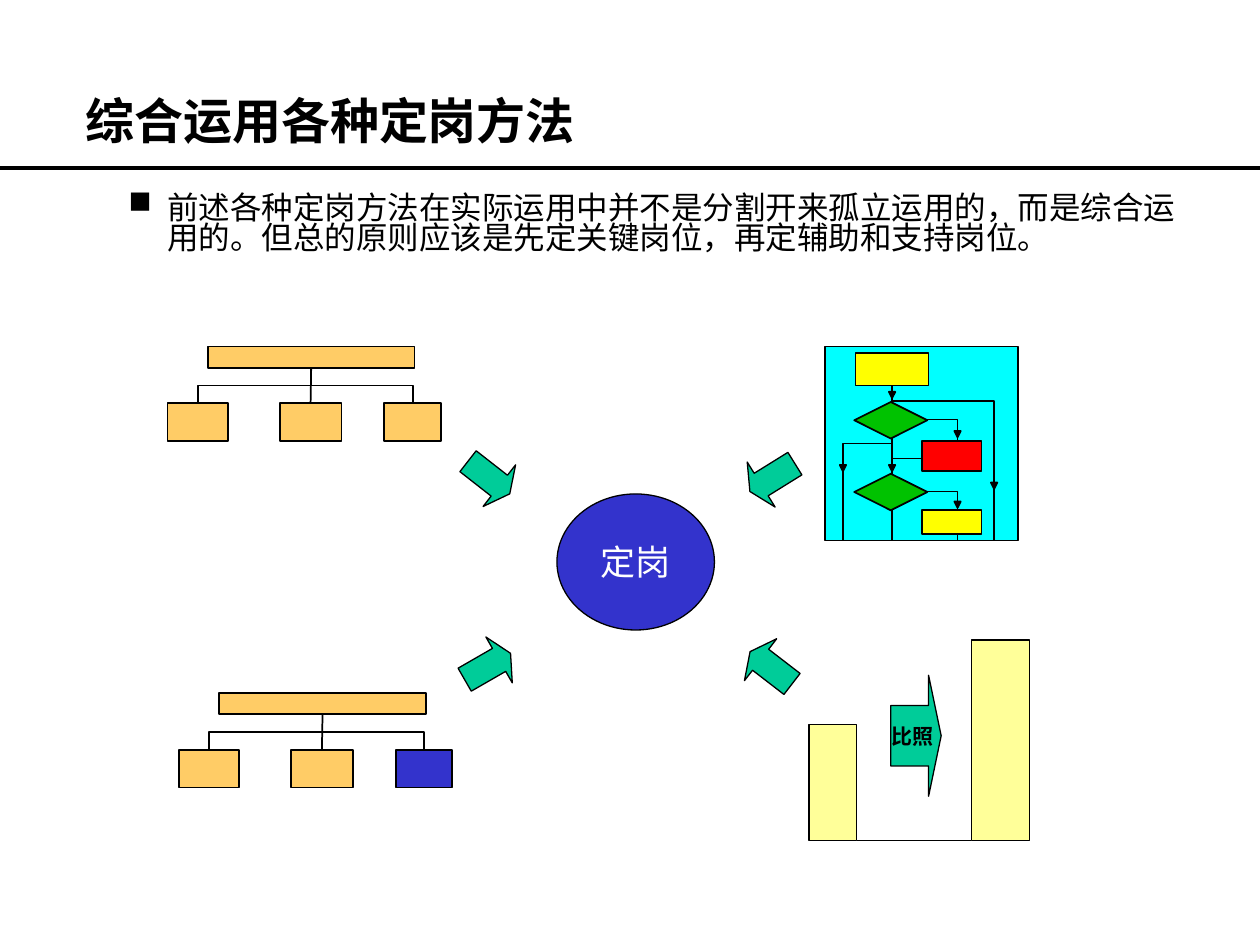
from lxml.etree import SubElement
from pptx import Presentation
from pptx.dml.color import RGBColor
from pptx.enum.shapes import MSO_CONNECTOR, MSO_SHAPE
from pptx.enum.text import MSO_ANCHOR, PP_ALIGN
from pptx.oxml.ns import qn
from pptx.util import Inches, Pt

BLACK = RGBColor(0x00, 0x00, 0x00)
WHITE = RGBColor(0xFF, 0xFF, 0xFF)
ORANGE = RGBColor(0xFF, 0xCC, 0x66)
BLUE = RGBColor(0x33, 0x33, 0xCC)
TEAL = RGBColor(0x00, 0xCC, 0x99)
CYAN = RGBColor(0x00, 0xFF, 0xFF)
GREEN = RGBColor(0x00, 0xC2, 0x00)
YELLOW = RGBColor(0xFF, 0xFF, 0x00)
RED = RGBColor(0xFF, 0x00, 0x00)
PALE_YELLOW = RGBColor(0xFF, 0xFF, 0x99)
CJK_FONT = "Noto Sans CJK SC"


def write(shape, text, size, font="Times New Roman", color=BLACK, bold=False,
          align=PP_ALIGN.LEFT, anchor=MSO_ANCHOR.TOP, wrap=True, line_spacing=None,
          bullet=None, margin=0, indent=0):
    """Put one formatted paragraph into a shape."""
    frame = shape.text_frame
    frame.word_wrap = wrap
    frame.vertical_anchor = anchor
    paragraph = frame.paragraphs[0]
    paragraph.alignment = align
    if line_spacing:
        paragraph.line_spacing = line_spacing
    if bullet:
        properties = paragraph._p.get_or_add_pPr()
        properties.set("marL", str(Inches(margin)))
        properties.set("indent", str(Inches(indent)))
        SubElement(properties, qn("a:buChar")).set("char", bullet)
    run = paragraph.add_run()
    run.text = text
    run.font.size = Pt(size)
    run.font.name = font
    run.font.bold = bold
    run.font.color.rgb = color
    SubElement(run._r.get_or_add_rPr(), qn("a:ea")).set("typeface", CJK_FONT)


def style(shape, fill=None, width=1):
    """Give a shape or line a black outline, an optional fill and no shadow."""
    shape.line.color.rgb = BLACK
    shape.line.width = Pt(width)
    if fill is not None:
        shape.fill.solid()
        shape.fill.fore_color.rgb = fill
    SubElement(shape._element.spPr, qn("a:effectLst"))
    return shape


presentation = Presentation()
presentation.slide_width = Inches(10)
presentation.slide_height = Inches(7.5)
slide = presentation.slides.add_slide(presentation.slide_layouts[6])
shapes = slide.shapes

# Title, rule and body text
title = shapes.add_textbox(Inches(0.58), Inches(0.67), Inches(7.58), Inches(0.58))
write(title, "综合运用各种定岗方法", size=28, bold=True)
style(shapes.add_connector(MSO_CONNECTOR.STRAIGHT, 0, Inches(1.33), Inches(10), Inches(1.33)),
      width=2.25)
body = shapes.add_textbox(Inches(0.42), Inches(1.5), Inches(9.08), Inches(0.83))
write(body, "前述各种定岗方法在实际运用中并不是分割开来孤立运用的，而是综合运用的。"
      "但总的原则应该是先定关键岗位，再定辅助和支持岗位。",
      size=18, line_spacing=0.8, bullet="■", margin=0.81, indent=-0.31)

# Two organisation trees; the second highlights its last position
for left, top, last_fill in [(1.33, 2.75, ORANGE), (1.42, 5.5, BLUE)]:
    parent = style(shapes.add_shape(MSO_SHAPE.RECTANGLE, Inches(left + 0.32), Inches(top),
                                    Inches(1.64), Inches(0.17)), ORANGE)
    for offset, width, fill in [(0, 0.48, ORANGE), (0.89, 0.49, ORANGE), (1.72, 0.45, last_fill)]:
        child = style(shapes.add_shape(MSO_SHAPE.RECTANGLE, Inches(left + offset),
                                       Inches(top + 0.45), Inches(width), Inches(0.3)), fill)
        start_x = parent.left + parent.width // 2
        start_y = parent.top + parent.height
        run_x = child.left + child.width // 2 - start_x
        drop = child.top - start_y
        straight = abs(run_x) < Inches(0.02)
        kind = MSO_CONNECTOR.STRAIGHT if straight else MSO_CONNECTOR.ELBOW
        branch = style(shapes.add_connector(kind, start_x, start_y, start_x + run_x, child.top))
        branch.begin_connect(parent, 2)
        branch.end_connect(child, 0)
        if not straight:
            # Turn the elbow so that it leaves the parent downwards
            branch.left = start_x + (run_x - drop) // 2
            branch.top = start_y + (drop - abs(run_x)) // 2
            branch.width, branch.height = drop, abs(run_x)
            transform = branch._element.spPr.find(qn("a:xfrm"))
            transform.set("rot", str((270 if run_x > 0 else 90) * 60000))
            transform.set("flipH", "1" if run_x > 0 else "0")

# Flowchart panel
style(shapes.add_shape(MSO_SHAPE.RECTANGLE, Inches(6.55), Inches(2.75),
                       Inches(1.53), Inches(1.54)), CYAN)

# Flow lines behind the steps
for points in [
    [(7.36, 3.33), (7.6, 3.33), (7.6, 3.64), (7.08, 3.64)],
    [(7.36, 3.9), (7.6, 3.9), (7.6, 4.29)],
    [(7.08, 3.18), (7.89, 3.18), (7.89, 4.29)],
    [(7.08, 3.52), (6.69, 3.52), (6.69, 4.29)],
]:
    corners = [(Inches(x), Inches(y)) for x, y in points]
    builder = shapes.build_freeform(*corners[0])
    builder.add_line_segments(corners[1:], close=False)
    style(builder.convert_to_shape()).fill.background()

first_step = style(shapes.add_shape(MSO_SHAPE.RECTANGLE, Inches(6.79), Inches(2.8),
                                    Inches(0.58), Inches(0.26)), YELLOW)
main_flow = style(shapes.add_connector(MSO_CONNECTOR.STRAIGHT, Inches(7.08), Inches(3.06),
                                       Inches(7.08), Inches(4.29)))
main_flow.begin_connect(first_step, 2)

# Decisions and side steps
for kind, left, top, width, height, fill in [
    (MSO_SHAPE.DIAMOND, 6.78, 3.19, 0.58, 0.29, GREEN),
    (MSO_SHAPE.DIAMOND, 6.78, 3.76, 0.58, 0.29, GREEN),
    (MSO_SHAPE.RECTANGLE, 7.32, 3.5, 0.47, 0.24, RED),
    (MSO_SHAPE.RECTANGLE, 7.32, 4.05, 0.47, 0.19, YELLOW),
]:
    style(shapes.add_shape(kind, Inches(left), Inches(top), Inches(width), Inches(height)), fill)

# Small flow arrowheads, placed by their tips
for x, y in [(7.08, 3.16), (7.6, 3.47), (7.6, 4.03), (7.08, 3.74), (6.69, 3.74), (7.89, 3.88)]:
    builder = shapes.build_freeform(Inches(x), Inches(y))
    builder.add_line_segments([(Inches(x - 0.025), Inches(y - 0.05)),
                               (Inches(x + 0.025), Inches(y - 0.05))])
    style(builder.convert_to_shape(), BLACK)

# Benchmark bars on a baseline
for left, top, width, height in [(6.42, 5.75, 0.38, 0.92), (7.71, 5.08, 0.46, 1.59)]:
    style(shapes.add_shape(MSO_SHAPE.RECTANGLE, Inches(left), Inches(top),
                           Inches(width), Inches(height)), PALE_YELLOW, width=0.75)
style(shapes.add_connector(MSO_CONNECTOR.STRAIGHT, Inches(6.8), Inches(6.67),
                           Inches(7.71), Inches(6.67)), width=0.75)

# Comparison arrow and the four arrows pointing to the centre
for left, top, width, height, rotation, label in [
    (7.07, 5.36, 0.4, 0.96, 0, "比照"),
    (3.66, 5.08, 0.42, 0.42, 330.1, ""),
    (5.92, 3.58, 0.42, 0.42, 148.2, ""),
    (3.67, 3.58, 0.42, 0.42, 38, ""),
    (5.91, 5.09, 0.42, 0.42, 217.6, ""),
]:
    arrow = style(shapes.add_shape(MSO_SHAPE.RIGHT_ARROW, Inches(left), Inches(top),
                                   Inches(width), Inches(height)), TEAL, width=0.75)
    arrow.adjustments[0] = 0.5
    arrow.adjustments[1] = 0.25
    arrow.rotation = rotation
    if label:
        write(arrow, label, size=12, font=CJK_FONT, bold=True, align=PP_ALIGN.CENTER,
              anchor=MSO_ANCHOR.MIDDLE, wrap=False)

# Central goal
goal = style(shapes.add_shape(MSO_SHAPE.OVAL, Inches(4.42), Inches(3.92),
                              Inches(1.25), Inches(1.08)), BLUE, width=0.75)
write(goal, "定岗", size=20, color=WHITE, align=PP_ALIGN.CENTER,
      anchor=MSO_ANCHOR.MIDDLE, wrap=False)

presentation.save("out.pptx")
